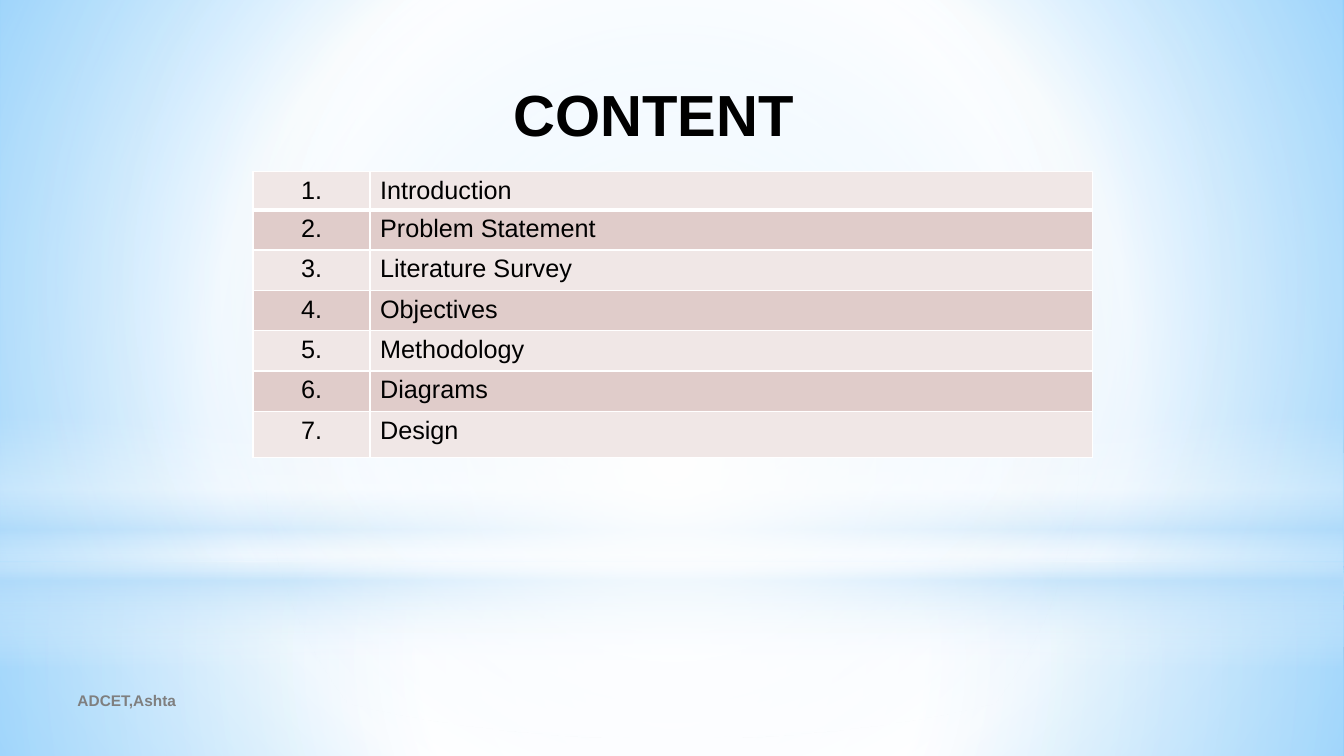
"""Build the CONTENT slide with a numbered table on a soft blue background."""
from lxml.etree import SubElement
from pptx import Presentation
from pptx.dml.color import RGBColor
from pptx.enum.shapes import MSO_SHAPE as Preset
from pptx.enum.text import MSO_ANCHOR as Anchor, PP_ALIGN as Align
from pptx.oxml.ns import qn
from pptx.util import Inches, Pt

WIDTH, HEIGHT = 13.33, 7.5
TITLE = "CONTENT"
FOOTER = "ADCET,Ashta"
TOPICS = ["Introduction", "Problem Statement", "Literature Survey", "Objectives",
          "Methodology", "Diagrams", "Design"]
COLUMN_WIDTHS = [1.16, 7.17]
ROW_HEIGHTS = [0.38] + [0.4] * 5 + [0.46]
BAND_COLORS = ["F0E7E6", "E0CCCA"]
WHITE, SKY = "FFFFFF", "B4DCFA"
BACKDROP = [(0, "99D4FE", 100), (60, WHITE, 100), (100, "54BDFF", 100)]
GLOWS = [
    (Preset.RECTANGLE, 5.58, 1.92, None,
     [(0, WHITE, 91), (37, WHITE, 76), (100, SKY, 79)]),
    (Preset.RECTANGLE, 0, 5.58, None,
     [(0, WHITE, 89), (48, WHITE, 62), (100, SKY, 79)]),
    (Preset.RECTANGLE, 4.12, 2.5, 90,
     [(0, WHITE, 0), (29, WHITE, 30), (45, SKY, 40), (55, WHITE, 26),
      (65, SKY, 60), (100, WHITE, 0)]),
    (Preset.OVAL, 1.75, 5.58, None,
     [(0, WHITE, 100), (56, WHITE, 0), (100, WHITE, 0)]),
]


def add_node(parent, tag, **attributes):
    """Append a DrawingML element with the given attributes."""
    return SubElement(parent, qn(f"a:{tag}"),
                      {name: str(value) for name, value in attributes.items()})


def set_gradient(owner, fill, stops, angle=None):
    """Fill with a linear gradient at an angle, or a circular one without it."""
    fill.gradient()
    gradient = owner.element.find(f".//{qn('a:gradFill')}")
    for child in list(gradient):
        gradient.remove(child)
    stop_list = add_node(gradient, "gsLst")
    for position, color, opacity in stops:
        stop = add_node(stop_list, "gs", pos=position * 1000)
        color_node = add_node(stop, "srgbClr", val=color)
        add_node(color_node, "alpha", val=opacity * 1000)
    if angle is None:
        circle = add_node(gradient, "path", path="circle")
        add_node(circle, "fillToRect", l=50000, t=50000, r=50000, b=50000)
    else:
        add_node(gradient, "lin", ang=angle * 60000, scaled=0)


def write(frame, text, size, color="000000", bold=False, align=Align.LEFT,
          anchor=Anchor.TOP):
    """Put formatted Arial text in a text frame."""
    frame.word_wrap = True
    frame.vertical_anchor = anchor
    paragraph = frame.paragraphs[0]
    paragraph.alignment = align
    run = paragraph.add_run()
    run.text = text
    font = run.font
    font.name, font.size, font.bold = "Arial", Pt(size), bold
    font.color.rgb = RGBColor.from_string(color)


def set_borders(cell, **widths):
    """Draw white cell borders of the given point widths."""
    properties = cell._tc.get_or_add_tcPr()
    for side, width in widths.items():
        line = add_node(properties, f"ln{side}", w=Pt(width))
        add_node(add_node(line, "solidFill"), "srgbClr", val=WHITE)


def add_glows(slide):
    """Layer the translucent full-width glows."""
    for preset, top, height, angle, stops in GLOWS:
        glow = slide.shapes.add_shape(preset, 0, Inches(top), Inches(WIDTH), Inches(height))
        glow.shadow.inherit = False
        glow.line.fill.background()
        set_gradient(glow, glow.fill, stops, angle)


def add_topics(slide):
    """Add the table of numbered topics."""
    table = slide.shapes.add_table(
        len(TOPICS), len(COLUMN_WIDTHS), Inches(2.51), Inches(1.7),
        Inches(sum(COLUMN_WIDTHS)), Inches(sum(ROW_HEIGHTS))).table
    table.first_row = table.horz_banding = False
    for column, width in zip(table.columns, COLUMN_WIDTHS):
        column.width = Inches(width)
    for index, topic in enumerate(TOPICS):
        table.rows[index].height = Inches(ROW_HEIGHTS[index])
        entries = [(f"{index + 1}.", Align.CENTER), (topic, Align.LEFT)]
        for cell, (text, align) in zip(table.rows[index].cells, entries):
            write(cell.text_frame, text, 18, align=align)
            set_borders(cell, L=1, R=1, T=3 if index == 1 else 1, B=3 if index == 0 else 1)
            cell.fill.solid()
            cell.fill.fore_color.rgb = RGBColor.from_string(BAND_COLORS[index % 2])


def main():
    """Build and save the slide."""
    presentation = Presentation()
    presentation.slide_width, presentation.slide_height = Inches(WIDTH), Inches(HEIGHT)
    slide = presentation.slides.add_slide(presentation.slide_layouts[5])
    set_gradient(slide, slide.background.fill, BACKDROP)
    add_glows(slide)

    footer = slide.shapes.add_textbox(Inches(0.67), Inches(6.75), Inches(4.89), Inches(0.4))
    write(footer.text_frame, FOOTER, 11, color="7F7F7F", bold=True, anchor=Anchor.MIDDLE)

    title = slide.shapes.title
    title.left, title.top = Inches(0.64), Inches(0.67)
    title.width, title.height = Inches(10.59), Inches(1.4)
    title.text_frame.margin_left, title.text_frame.margin_top = Inches(1.2), Inches(0.11)
    write(title.text_frame, TITLE, 41.4, bold=True, align=Align.CENTER)
    footer.element.addnext(title.element)

    add_topics(slide)
    presentation.save("out.pptx")


if __name__ == "__main__":
    main()
